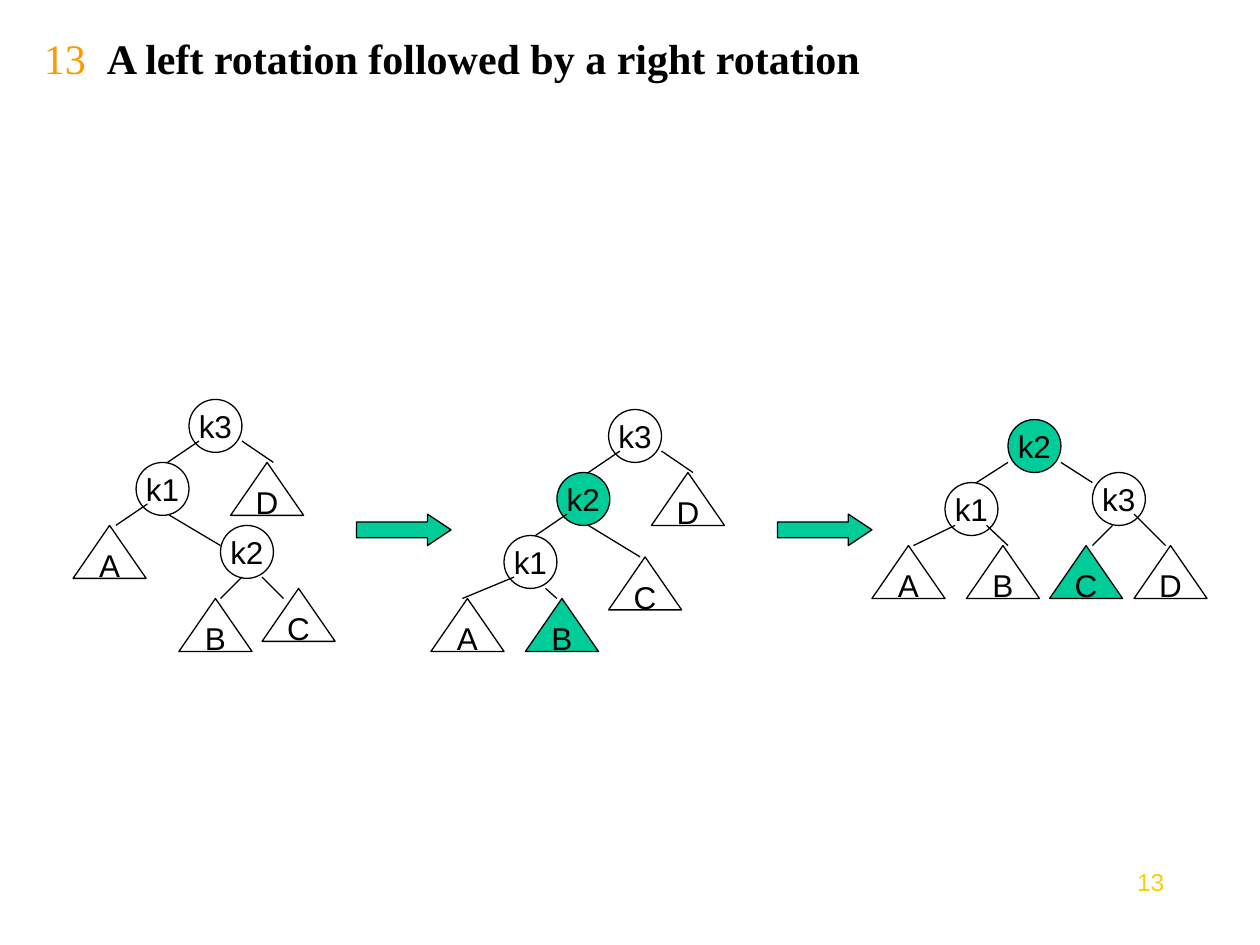
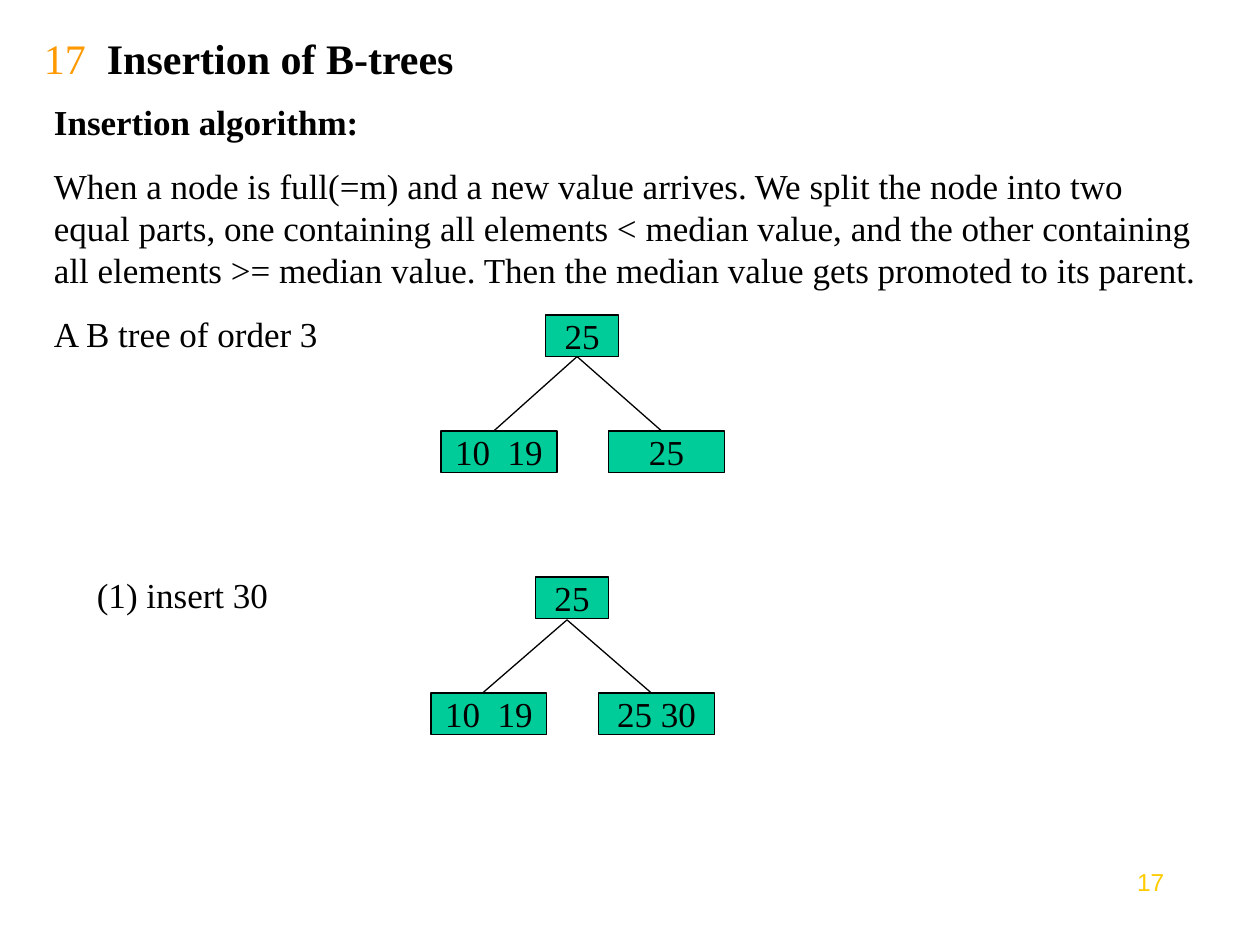
from dataclasses import dataclass

from lxml import etree
from pptx import Presentation
from pptx.dml.color import RGBColor
from pptx.enum.shapes import MSO_CONNECTOR, MSO_SHAPE
from pptx.enum.text import MSO_ANCHOR, MSO_AUTO_SIZE, PP_ALIGN
from pptx.oxml.ns import qn
from pptx.util import Inches, Pt

STRAIGHT = MSO_CONNECTOR.STRAIGHT
CIRCLE, TRIANGLE = MSO_SHAPE.OVAL, MSO_SHAPE.ISOSCELES_TRIANGLE
RECTANGLE, ARROW = MSO_SHAPE.RECTANGLE, MSO_SHAPE.RIGHT_ARROW
TOP, MIDDLE = MSO_ANCHOR.TOP, MSO_ANCHOR.MIDDLE
LEFT, CENTER, RIGHT = PP_ALIGN.LEFT, PP_ALIGN.CENTER, PP_ALIGN.RIGHT
GROW, FIXED = MSO_AUTO_SIZE.SHAPE_TO_FIT_TEXT, MSO_AUTO_SIZE.NONE

ROTATION_TITLE = (13, "A left rotation followed by a right rotation")
INSERTION_TITLE = (17, "Insertion of B-trees")

# The diagrams sit on a grid of twelve cells to the inch.
# Nodes: label, left, top, highlighted. Edges: from x, y to x, y.
ROTATION_TREES = [
    {
        "nodes": [("k3", 18, 38, False), ("k1", 13, 44, False), ("k2", 21, 50, False),
                  ("A", 7, 50, False), ("B", 17, 57, False),
                  ("C", 25, 56, False), ("D", 22, 44, False)],
        "edges": [(19, 42, 16, 44), (23, 42, 26, 44), (14, 48, 11, 50),
                  (16, 49, 21, 52), (23, 55, 21, 57), (25, 55, 27, 57)],
    },
    {
        "nodes": [("k3", 58, 39, False), ("k2", 53, 45, True), ("k1", 48, 51, False),
                  ("A", 41, 57, False), ("B", 50, 57, True),
                  ("C", 58, 53, False), ("D", 62, 45, False)],
        "edges": [(59, 43, 56, 45), (63, 43, 66, 45), (54, 49, 51, 51),
                  (56, 50, 61, 53), (49, 55, 44, 57), (52, 56, 53, 57)],
    },
    {
        "nodes": [("k2", 96, 40, True), ("k1", 90, 46, False), ("k3", 104, 45, False),
                  ("A", 83, 52, False), ("B", 92, 52, False),
                  ("C", 100, 52, True), ("D", 108, 52, False)],
        "edges": [(96, 44, 93, 46), (101, 44, 104, 46), (91, 50, 87, 52),
                  (94, 50, 96, 52), (106, 50, 104, 52), (108, 49, 111, 52)],
    },
]
STEP_ARROWS = [(34, 49, 9, 3), (74, 49, 9, 3)]

ALGORITHM = [
    ("Insertion algorithm:", True),
    ("When a node is full(=m) and a new value arrives. We split the node into two "
     "equal parts, one containing all elements < median value, and the other "
     "containing all elements >= median value. Then the median value gets promoted "
     "to its parent.", False),
    ("A B tree of order 3", False),
]
INSERT_STEP = [("(1) insert 30", False)]
B_TREES = [
    {"root": (52, 30), "keys": ("25", "10  19", "25")},
    {"root": (51, 55), "keys": ("25", "10  19", "25 30")},
]


@dataclass(frozen=True)
class Theme:
    ink: RGBColor = RGBColor(0x00, 0x00, 0x00)
    accent: RGBColor = RGBColor(0x00, 0xCC, 0x99)
    title_number: RGBColor = RGBColor(0xFF, 0x99, 0x00)
    page_number: RGBColor = RGBColor(0xFF, 0xCC, 0x00)
    serif: str = "Times New Roman"
    sans: str = "Arial"
    title_size: int = 24
    body_size: int = 20
    node_size: int = 18
    footer_size: int = 14
    paragraph_gap: float = 12.5
    line_width: float = 0.75


THEME = Theme()


def cells(*counts):
    return [Inches(round(count / 12, 2)) for count in counts]


def set_values(target, values):
    for name, value in values.items():
        setattr(target, name, value)


def add_span(para, text, font, size, color, bold=False):
    span = para.add_run()
    span.text = text
    set_values(span.font, {"name": font, "size": Pt(size), "bold": bold})
    span.font.color.rgb = color


def add_text_box(page, place, anchor=TOP, auto_size=FIXED):
    frame = page.shapes.add_textbox(*map(Inches, place)).text_frame
    set_values(frame, {"word_wrap": True, "vertical_anchor": anchor,
                       "auto_size": auto_size})
    return frame


def add_tab_stop(para, position):
    stops = etree.SubElement(para._p.get_or_add_pPr(), qn("a:tabLst"))
    etree.SubElement(stops, qn("a:tab"), pos=str(position), algn="l")


def add_title_and_number(page, number, title):
    para = add_text_box(page, (0.25, 0.25, 8.5, 0.42), MIDDLE).paragraphs[0]
    add_tab_stop(para, Inches(0.5))
    add_span(para, f"{number}\t", THEME.serif, THEME.title_size, THEME.title_number)
    add_span(para, title, THEME.serif, THEME.title_size, THEME.ink, bold=True)

    footer = add_text_box(page, (8.67, 6.83, 0.67, 0.52)).paragraphs[0]
    footer.alignment = RIGHT
    add_span(footer, str(number), THEME.sans, THEME.footer_size, THEME.page_number)


def add_body(page, place, lines):
    frame = add_text_box(page, place, auto_size=GROW)
    for index, (text, bold) in enumerate(lines):
        para = frame.add_paragraph() if index else frame.paragraphs[0]
        para.alignment = LEFT
        if index:
            para.space_before = Pt(THEME.paragraph_gap)
        add_span(para, text, THEME.serif, THEME.body_size, THEME.ink, bold)


def add_outlined(shapes, kind, place, filled):
    """Add a black-outlined shape; place is given in grid cells."""
    shape = shapes.add_shape(kind, *cells(*place))
    shape.shadow.inherit = False
    if filled:
        shape.fill.solid()
        shape.fill.fore_color.rgb = THEME.accent
    else:
        shape.fill.background()
    shape.line.color.rgb = THEME.ink
    shape.line.width = Pt(THEME.line_width)
    return shape


def add_node(shapes, kind, place, label, filled, font, size):
    frame = add_outlined(shapes, kind, place, filled).text_frame
    set_values(frame, {"word_wrap": False, "vertical_anchor": MIDDLE})
    para = frame.paragraphs[0]
    para.alignment = CENTER
    add_span(para, label, font, size, THEME.ink)


def add_edge(shapes, ends):
    edge = shapes.add_connector(STRAIGHT, *cells(*ends))
    edge.line.color.rgb = THEME.ink
    edge.line.width = Pt(THEME.line_width)
    etree.SubElement(edge._element.spPr, qn("a:effectLst"))


def add_rotation_tree(page, tree):
    """Keys (k1, k2, ...) are circles and subtrees are triangles."""
    shapes = page.shapes.add_group_shape().shapes
    for label, left, top, filled in tree["nodes"]:
        kind, width = (CIRCLE, 5) if label.startswith("k") else (TRIANGLE, 7)
        add_node(shapes, kind, (left, top, width, 5), label, filled,
                 THEME.sans, THEME.node_size)
    for ends in tree["edges"]:
        add_edge(shapes, ends)


def add_b_tree(page, root, keys):
    shapes = page.shapes.add_group_shape().shapes
    left, top = root
    child_top = top + 11
    places = [(left, top, 7, 4), (left - 10, child_top, 11, 4),
              (left + 6, child_top, 11, 4)]
    for place, label in zip(places, keys):
        add_node(shapes, RECTANGLE, place, label, True, THEME.serif, THEME.body_size)
    fork = left + 3
    for reach in (-8, 8):
        add_edge(shapes, (fork, top + 4, fork + reach, child_top))


def build_rotation_slide(page):
    add_title_and_number(page, *ROTATION_TITLE)
    for tree in ROTATION_TREES:
        add_rotation_tree(page, tree)
    for place in STEP_ARROWS:
        arrow = add_outlined(page.shapes, ARROW, place, True)
        arrow.adjustments[0] = 0.5
        arrow.adjustments[1] = 0.75


def build_insertion_slide(page):
    add_title_and_number(page, *INSERTION_TITLE)
    add_body(page, (0.33, 0.75, 9.33, 2.62), ALGORITHM)
    add_body(page, (0.67, 4.5, 2.25, 0.44), INSERT_STEP)
    for tree in B_TREES:
        add_b_tree(page, **tree)


def main():
    deck = Presentation()
    deck.slide_width, deck.slide_height = Inches(10), Inches(7.5)
    blank = deck.slide_layouts[6]
    for build in (build_rotation_slide, build_insertion_slide):
        build(deck.slides.add_slide(blank))
    deck.save("out.pptx")


if __name__ == "__main__":
    main()
